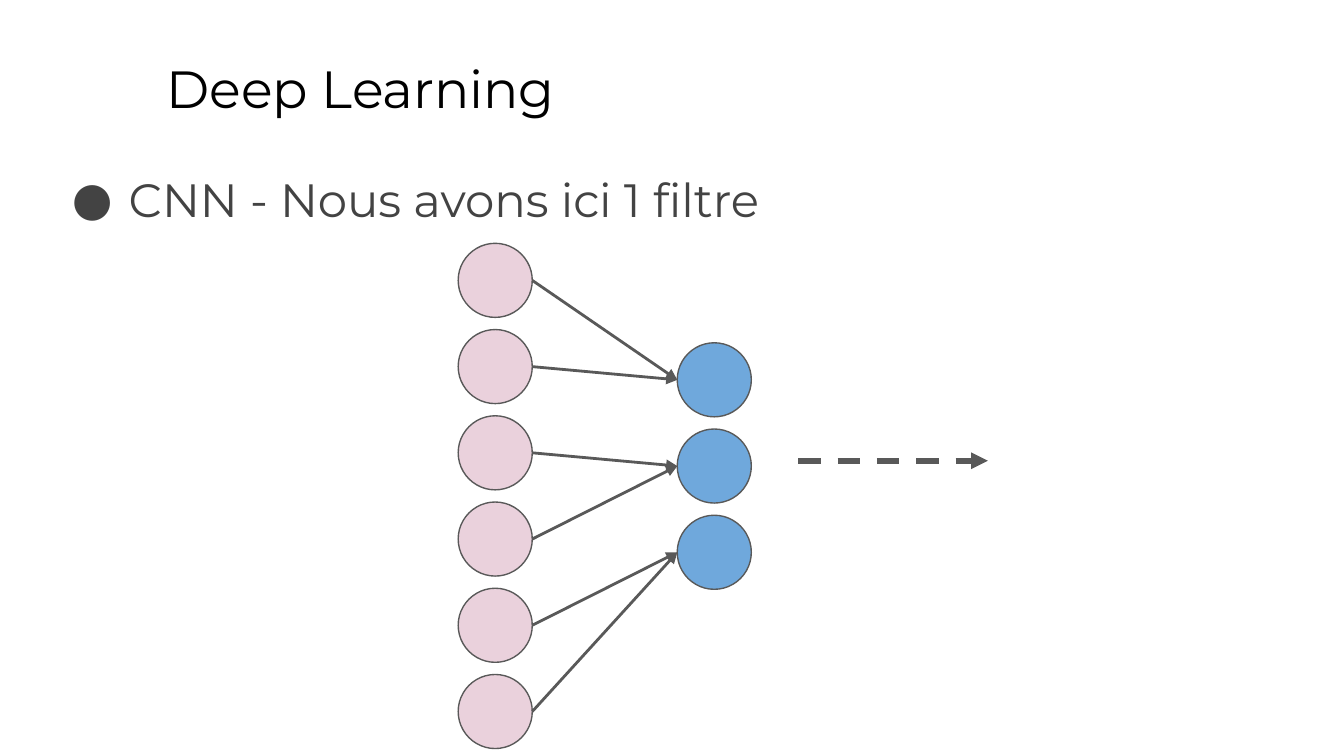
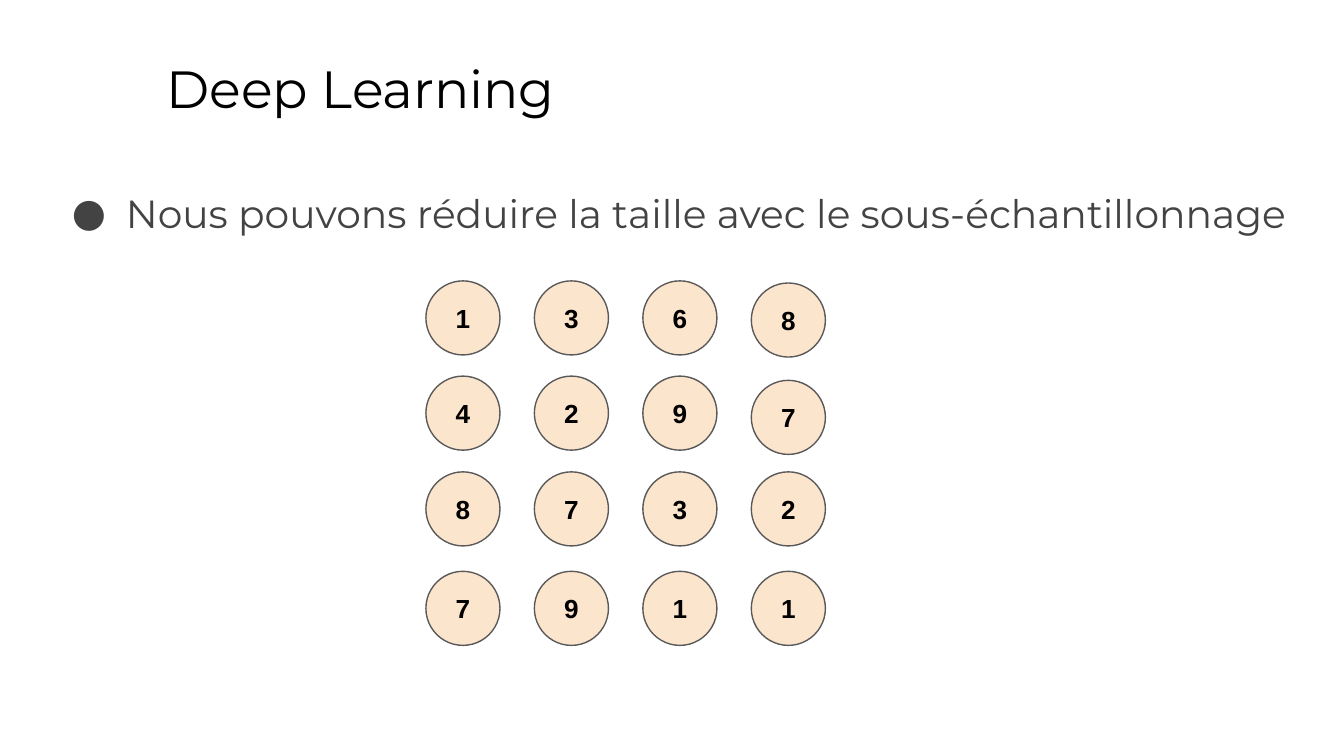
from lxml.etree import SubElement
from pptx import Presentation
from pptx.dml.color import RGBColor
from pptx.enum.dml import MSO_LINE
from pptx.enum.shapes import MSO_CONNECTOR, MSO_SHAPE
from pptx.enum.text import MSO_ANCHOR, PP_ALIGN
from pptx.oxml.ns import qn
from pptx.util import Cm, Pt

BLACK = RGBColor(0x00, 0x00, 0x00)
BODY_GREY = RGBColor(0x43, 0x43, 0x43)
LINE_GREY = RGBColor(0x59, 0x59, 0x59)
PINK = RGBColor(0xEA, 0xD1, 0xDC)
BLUE = RGBColor(0x6F, 0xA8, 0xDC)
PEACH = RGBColor(0xFC, 0xE5, 0xCD)

TITLE = "Deep Learning"
TITLE_FORMAT = {"name": "Montserrat", "size": Pt(28)}
VALUE_FORMAT = {"name": "Arial", "size": Pt(14), "bold": True}

# Text, left, top, width, height, hanging indent (cm) and size (pt)
FILTER_POINT = ("CNN - Nous avons ici 1 filtre", 0.91, 2.82, 23.67, 10.13, 1.07, 25)
SAMPLING_POINT = ("Nous pouvons réduire la taille avec le sous-échantillonnage",
                  0.86, 3.2, 24.54, 9.5, 1.02, 21)

# Left, first top, number of neurons, colour
INPUT_LAYER = (8.66, 4.6, 6, PINK)
OUTPUT_LAYER = (12.8, 6.48, 3, BLUE)
INPUTS_PER_OUTPUT = 2
NEURON_PITCH = 1.63
DIAMETER = 1.4
NEXT_STEP = (15.09, 8.71, 18.67, 8.71)

# Row top, values, downward shift of the last column
MATRIX = [
    (5.31, [1, 3, 6, 8], 0.04),
    (7.11, [4, 2, 9, 7], 0.08),
    (8.92, [8, 7, 3, 2], 0),
    (10.8, [7, 9, 1, 1], 0),
]
MATRIX_LEFT = 8.05
COLUMN_PITCH = 2.05


def write(paragraph, text, colour, font_format):
    font_run = paragraph.add_run()
    font_run.text = text
    font_run.font.color.rgb = colour
    for attribute, value in font_format.items():
        setattr(font_run.font, attribute, value)


def set_insets(frame):
    for side in ("left", "top", "right", "bottom"):
        setattr(frame, f"margin_{side}", Cm(0.25))
    frame.word_wrap = True


def add_text_box(slide, left, top, width, height):
    """Add an empty wrapped box and return its first paragraph."""
    frame = slide.shapes.add_textbox(Cm(left), Cm(top), Cm(width), Cm(height)).text_frame
    set_insets(frame)
    return frame.paragraphs[0]


def add_topic_slide(deck, point):
    """Add a slide with the common title and one bulleted point."""
    slide = deck.slides.add_slide(deck.slide_layouts[6])
    write(add_text_box(slide, 2.9, 0.81, 21.64, 1.6), TITLE, BLACK, TITLE_FORMAT)

    text, left, top, width, height, hanging, size = point
    paragraph = add_text_box(slide, left, top, width, height)
    properties = paragraph._p.get_or_add_pPr()
    properties.set("marL", str(Cm(1.27)))
    properties.set("indent", str(-Cm(hanging)))
    bullet_colour = SubElement(properties, qn("a:buClr"))
    SubElement(bullet_colour, qn("a:srgbClr"), val=str(BODY_GREY))
    SubElement(properties, qn("a:buFont"), typeface="Montserrat")
    SubElement(properties, qn("a:buChar"), char="●")
    paragraph.line_spacing = 1.15
    write(paragraph, text, BODY_GREY, {"name": "Montserrat", "size": Pt(size)})
    return slide


def add_circle(slide, left, top, colour):
    circle = slide.shapes.add_shape(MSO_SHAPE.OVAL, Cm(left), Cm(top), Cm(DIAMETER), Cm(DIAMETER))
    circle.shadow.inherit = False
    circle.fill.solid()
    circle.fill.fore_color.rgb = colour
    circle.line.color.rgb = LINE_GREY
    circle.line.width = Pt(0.75)
    return circle


def add_arrow(slide, ends, weight, dash=None):
    arrow = slide.shapes.add_connector(MSO_CONNECTOR.STRAIGHT, *map(Cm, ends))
    arrow.line.color.rgb = LINE_GREY
    arrow.line.width = Pt(weight)
    if dash:
        arrow.line.dash_style = dash
    SubElement(arrow.line._get_or_add_ln(), qn("a:tailEnd"), type="triangle")
    SubElement(arrow._element.spPr, qn("a:effectLst"))


def add_layer(slide, left, first_top, count, colour):
    """Add a column of neurons and return the heights of their centres."""
    tops = [first_top + NEURON_PITCH * index for index in range(count)]
    for top in tops:
        add_circle(slide, left, top, colour)
    return [top + DIAMETER / 2 for top in tops]


def build_filter_slide(deck):
    slide = add_topic_slide(deck, FILTER_POINT)
    inputs = add_layer(slide, *INPUT_LAYER)
    outputs = add_layer(slide, *OUTPUT_LAYER)
    for index, height in enumerate(inputs):
        target = outputs[index // INPUTS_PER_OUTPUT]
        add_arrow(slide, (INPUT_LAYER[0] + DIAMETER, height, OUTPUT_LAYER[0], target), 1.5)
    add_arrow(slide, NEXT_STEP, 3, MSO_LINE.DASH)


def build_sampling_slide(deck):
    slide = add_topic_slide(deck, SAMPLING_POINT)
    for top, values, last_shift in MATRIX:
        for column, value in enumerate(values):
            shift = last_shift if column == len(values) - 1 else 0
            circle = add_circle(slide, MATRIX_LEFT + COLUMN_PITCH * column, top + shift, PEACH)
            frame = circle.text_frame
            set_insets(frame)
            frame.vertical_anchor = MSO_ANCHOR.MIDDLE
            frame.paragraphs[0].alignment = PP_ALIGN.CENTER
            write(frame.paragraphs[0], str(value), BLACK, VALUE_FORMAT)


def main():
    deck = Presentation()
    deck.slide_width, deck.slide_height = Cm(25.4), Cm(14.29)
    build_filter_slide(deck)
    build_sampling_slide(deck)
    deck.save("out.pptx")


if __name__ == "__main__":
    main()
